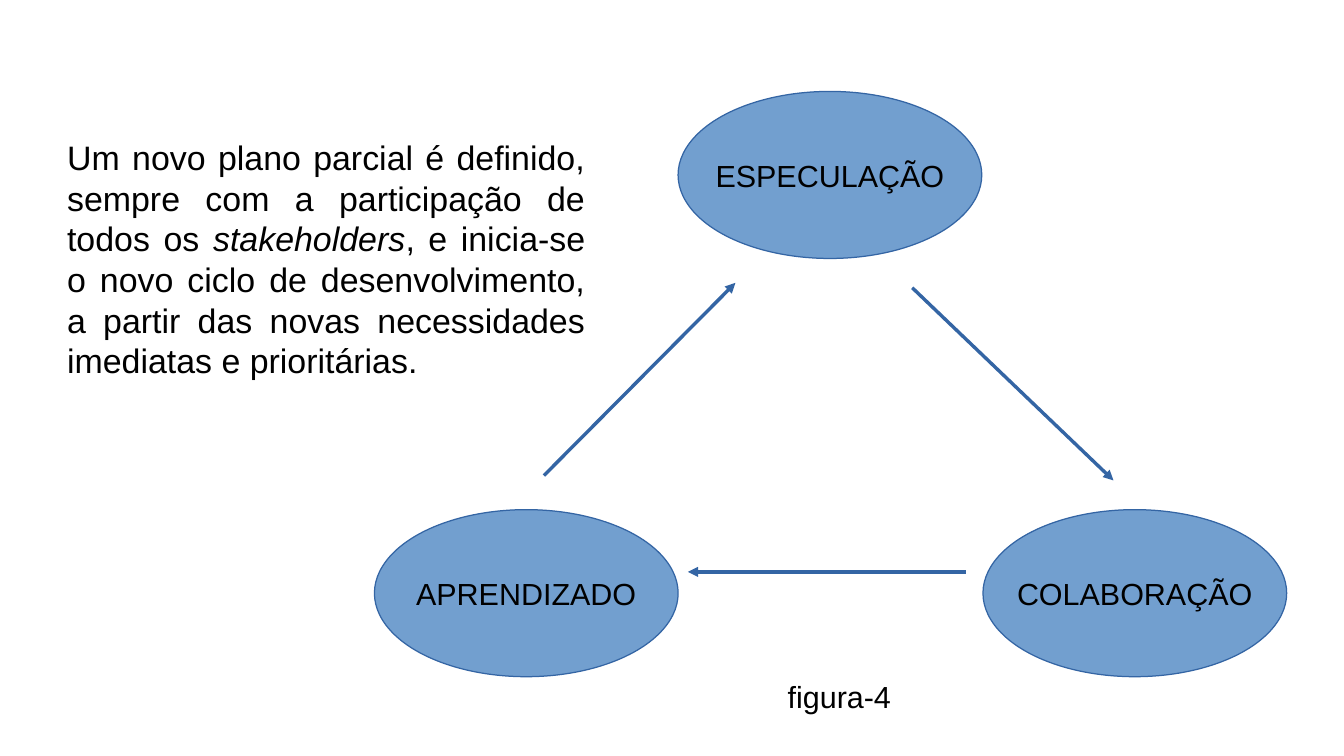
from pptx import Presentation
from pptx.dml.color import RGBColor
from pptx.enum.shapes import MSO_CONNECTOR as Connector, MSO_SHAPE as Shape
from pptx.enum.text import MSO_ANCHOR as Anchor, MSO_AUTO_SIZE as AutoSize, PP_ALIGN as Align
from pptx.oxml.ns import qn
from pptx.util import Inches, Pt
from lxml.etree import SubElement

FILL, LINE, TEXT = "729FCF", "3465A4", "000000"
STAGE_SIZE = (2.49, 1.37)
STAGES = [
    ("ESPECULAÇÃO", 5.56, 0.75),
    ("APRENDIZADO", 3.07, 4.18),
    ("COLABORAÇÃO", 8.06, 4.18),
]
ARROWS = [
    (4.46, 3.9, 6.03, 2.32),
    (7.48, 2.36, 9.13, 3.94),
    (7.92, 4.69, 5.64, 4.69),
]
CAPTION = [("figura-4", False)]
DESCRIPTION = [
    ("Um novo plano parcial é definido, sempre com a participação de todos os ", False),
    ("stakeholders", True),
    (", e inicia-se o novo ciclo de desenvolvimento, "
     "a partir das novas necessidades imediatas e prioritárias.", False),
]


def color(value):
    """Turn a hex string into a colour."""
    return RGBColor.from_string(value)


def write(shape, runs, size, align, margins=(0.1, 0.05), **frame_format):
    """Fill a shape with one paragraph of (text, italic) runs."""
    frame = shape.text_frame
    horizontal, vertical = map(Inches, margins)
    frame_format.update(margin_left=horizontal, margin_right=horizontal,
                        margin_top=vertical, margin_bottom=vertical)
    for name, value in frame_format.items():
        setattr(frame, name, value)
    paragraph = frame.paragraphs[0]
    paragraph.alignment = align
    for text, italic in runs:
        run = paragraph.add_run()
        run.text = text
        for name, value in {"name": "Arial", "size": Pt(size), "italic": italic}.items():
            setattr(run.font, name, value)
        run.font.color.rgb = color(TEXT)


def outline(shape):
    """Give a shape or connector the hairline border."""
    shape.line.color.rgb = color(LINE)
    shape.line.width = Pt(0)


def add_stage(slide, label, left, top):
    """Draw one labelled ellipse of the cycle."""
    shape = slide.shapes.add_shape(Shape.OVAL, *map(Inches, (left, top, *STAGE_SIZE)))
    shape.shadow.inherit = False
    shape.fill.solid()
    shape.fill.fore_color.rgb = color(FILL)
    outline(shape)
    write(shape, [(label, False)], 18, Align.CENTER,
          vertical_anchor=Anchor.MIDDLE, word_wrap=False)


def add_arrow(slide, points):
    """Draw a straight arrow between two points."""
    arrow = slide.shapes.add_connector(Connector.STRAIGHT, *map(Inches, points))
    outline(arrow)
    SubElement(arrow.line._get_or_add_ln(), qn("a:tailEnd"), type="triangle")
    SubElement(arrow._element.spPr, qn("a:effectLst"))


def add_text(slide, box, *content, **text_format):
    """Add a text box that holds the given content."""
    shape = slide.shapes.add_textbox(*map(Inches, box))
    write(shape, *content, auto_size=AutoSize.SHAPE_TO_FIT_TEXT, **text_format)


presentation = Presentation()
presentation.slide_width, presentation.slide_height = Inches(11.02), Inches(6.2)
slide = presentation.slides.add_slide(presentation.slide_layouts[6])
for stage in STAGES:
    add_stage(slide, *stage)
for points in ARROWS:
    add_arrow(slide, points)
add_text(slide, (6.36, 5.51, 1.05, 0.38), CAPTION, 18, Align.LEFT, word_wrap=False)
add_text(slide, (0.55, 0.54, 4.25, 3.16), DESCRIPTION, 20, Align.JUSTIFY,
         margins=(0, 0), vertical_anchor=Anchor.MIDDLE, word_wrap=True)
presentation.save("out.pptx")
